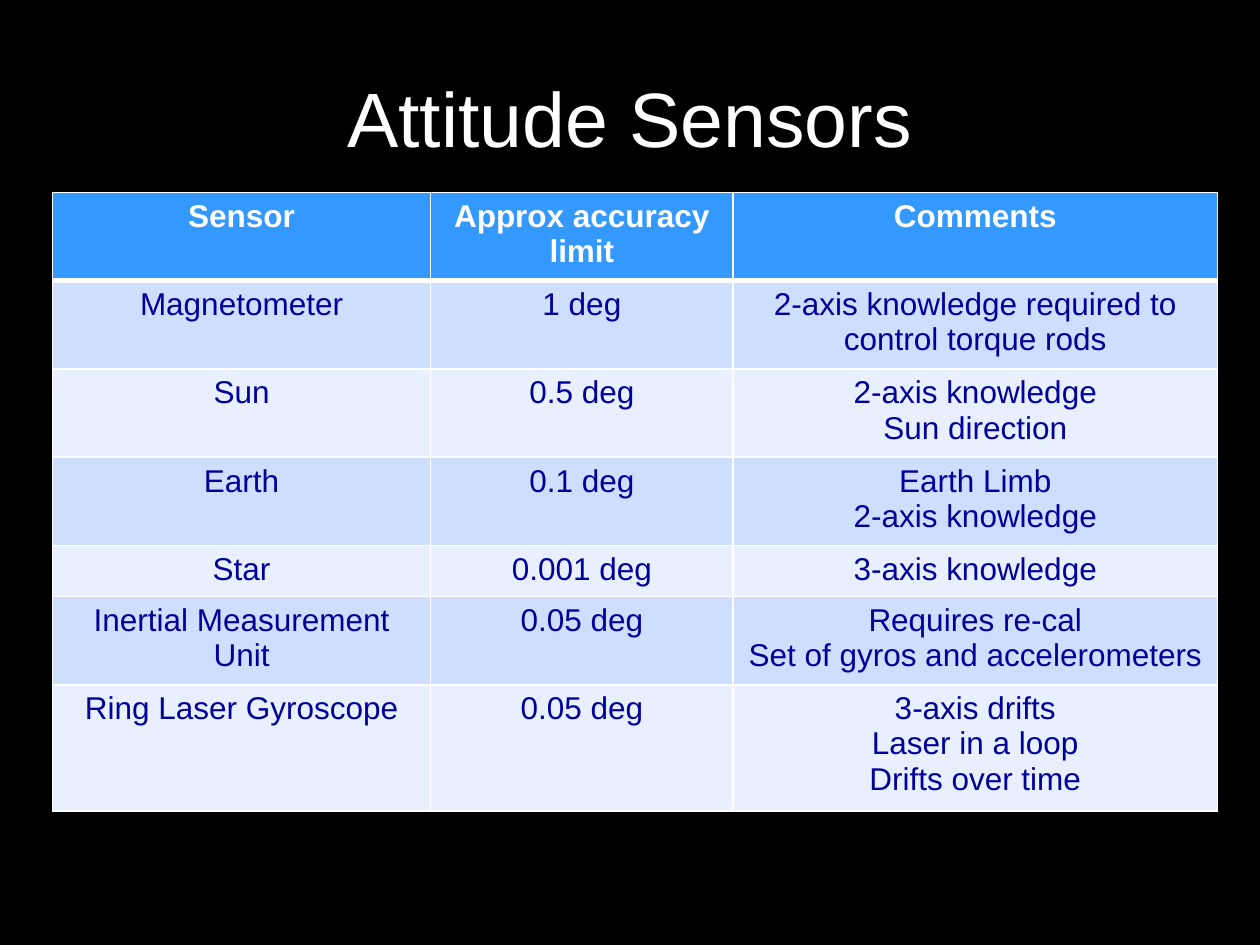
from dataclasses import dataclass

from lxml.etree import SubElement
from pptx import Presentation
from pptx.dml.color import RGBColor
from pptx.enum.text import MSO_ANCHOR, PP_ALIGN
from pptx.oxml.ns import qn
from pptx.slide import Slide
from pptx.table import _Cell
from pptx.text.text import TextFrame
from pptx.util import Cm, Pt

COLORS = {
    "background": "000000",
    "white": "FFFFFF",
    "header": "3399FF",
    "band_dark": "CEDEFF",
    "band_light": "E8EFFF",
    "body": "010199",
}
TITLE_FONT = {"name": "Arial", "size": Pt(44), "bold": False}
HEADER_FONT = {"name": "Arial", "size": Pt(18), "bold": True}
BODY_FONT = {"name": "Arial", "size": Pt(18), "bold": False}
COLUMN_WIDTHS = (7.62, 6.1, 9.76)
ROW_HEIGHT = 1.03


@dataclass(frozen=True)
class Sensor:
    name: str
    accuracy: str
    comments: str


HEADER = Sensor("Sensor", "Approx accuracy limit", "Comments")
SENSORS = [
    Sensor("Magnetometer", "1 deg", "2-axis knowledge required to control torque rods"),
    Sensor("Sun", "0.5 deg", "2-axis knowledge\nSun direction"),
    Sensor("Earth", "0.1 deg", "Earth Limb\n2-axis knowledge"),
    Sensor("Star", "0.001 deg", "3-axis knowledge"),
    Sensor("Inertial Measurement Unit", "0.05 deg",
           "Requires re-cal\nSet of gyros and accelerometers"),
    Sensor("Ring Laser Gyroscope", "0.05 deg",
           "3-axis drifts\nLaser in a loop\nDrifts over time"),
]


def rgb(key: str) -> RGBColor:
    return RGBColor.from_string(COLORS[key])


def write_text(tf: TextFrame, text: str, font: dict, color: str) -> None:
    tf.text = text
    for p in tf.paragraphs:
        p.alignment = PP_ALIGN.CENTER
        for r in p.runs:
            for attr, value in font.items():
                setattr(r.font, attr, value)
            r.font.color.rgb = rgb(color)


def add_title(s: Slide, text: str) -> None:
    tf = s.shapes.add_textbox(Cm(1.27), Cm(0.76), Cm(22.86), Cm(3.18)).text_frame
    tf.word_wrap = True
    tf.vertical_anchor = MSO_ANCHOR.MIDDLE
    write_text(tf, text, TITLE_FONT, "white")


def set_borders(cell: _Cell, widths: dict[str, float]) -> None:
    tc_pr = cell._tc.get_or_add_tcPr()
    for side, width in widths.items():
        ln = SubElement(tc_pr, qn(f"a:ln{side}"), w=str(Pt(width)))
        fill = SubElement(ln, qn("a:solidFill"))
        SubElement(fill, qn("a:srgbClr"), val=COLORS["white"])


def format_cell(cell: _Cell, text: str, row: int) -> None:
    is_header = row == 0
    font, color = (HEADER_FONT, "white") if is_header else (BODY_FONT, "body")
    band = "header" if is_header else "band_dark" if row % 2 else "band_light"
    write_text(cell.text_frame, text, font, color)
    set_borders(cell, {"L": 1, "R": 1, "T": 3 if row == 1 else 1, "B": 3 if is_header else 1})
    cell.fill.solid()
    cell.fill.fore_color.rgb = rgb(band)


def add_sensor_table(s: Slide, sensors: list[Sensor]) -> None:
    rows = [HEADER, *sensors]
    table = s.shapes.add_table(
        len(rows), len(COLUMN_WIDTHS), Cm(1.06), Cm(3.88),
        Cm(sum(COLUMN_WIDTHS)), Cm(ROW_HEIGHT * len(rows)),
    ).table
    for column, width in zip(table.columns, COLUMN_WIDTHS):
        column.width = Cm(width)
    for i, sensor in enumerate(rows):
        table.rows[i].height = Cm(ROW_HEIGHT)
        for j, text in enumerate((sensor.name, sensor.accuracy, sensor.comments)):
            format_cell(table.cell(i, j), text, i)


def main() -> None:
    prs = Presentation()
    prs.slide_width, prs.slide_height = Cm(25.4), Cm(19.05)
    s = prs.slides.add_slide(prs.slide_layouts[6])
    s.background.fill.solid()
    s.background.fill.fore_color.rgb = rgb("background")
    add_title(s, "Attitude Sensors")
    add_sensor_table(s, SENSORS)
    prs.save("out.pptx")


if __name__ == "__main__":
    main()
